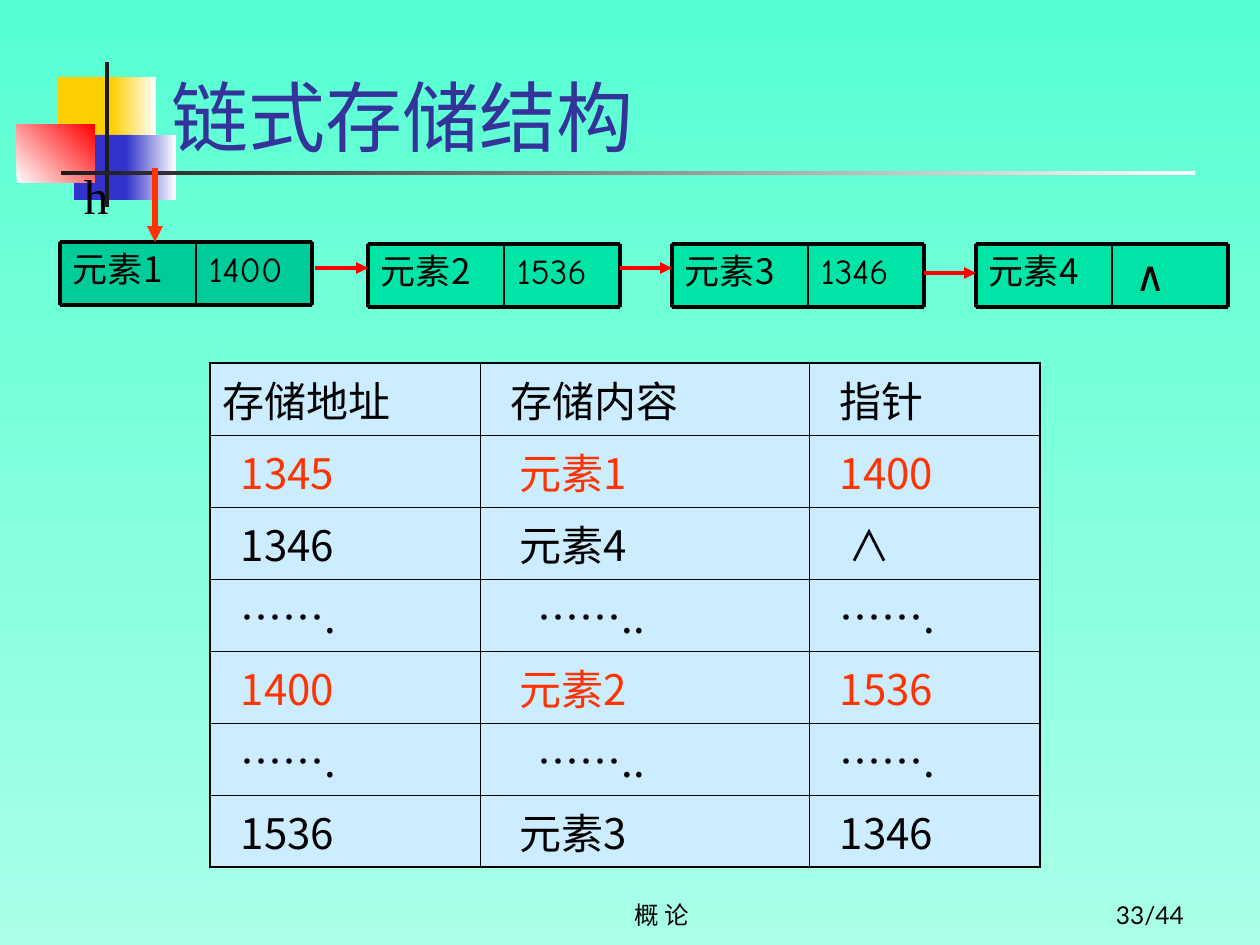
from lxml.etree import SubElement
from pptx import Presentation
from pptx.dml.color import RGBColor
from pptx.enum.shapes import MSO_CONNECTOR, MSO_SHAPE
from pptx.enum.text import MSO_ANCHOR, PP_ALIGN
from pptx.oxml import parse_xml
from pptx.oxml.ns import nsdecls, qn
from pptx.util import Emu, Pt

SCALE = 914400 / 126  # EMU in one px
COLORS = {
    "sky_top": "56FFD2", "sky_bottom": "AAFFE9",
    "yellow": "FFCF01", "blue": "3333CC", "red": "FF0000", "white": "FFFFFF",
    "bar": "1C1C1C", "title": "333399", "black": "000000",
    "head_node": "00CC99", "node": "00E4A8",
    "cell": "CCECFF", "highlight": "FF3300",
}
CJK, COMIC, LATO, TIMES = "Noto Sans CJK SC", "Comic Neue", "Lato", "Times New Roman"
INSET_X, INSET_Y = 13, 6

# Chain nodes after the head node
NODE_WIDTHS = (136, 116)
NODE_HEIGHT = 63
NODE_TOP, NODE_LEFT, NODE_STEP = 244, 368, 304
NODES = [("元素2", "1536"), ("元素3", "1346"), ("元素4", "∧")]

# Table rows of (text, indent step)
COLUMN_WIDTHS = (270, 329, 231)
ROW_HEIGHT, INDENT = 72, 9
HIGHLIGHT_ROWS = (1, 4)
DOTS = [("…….", 2), ("……..", 5), ("…….", 2)]
ROWS = [
    [("存储地址", 0), ("存储内容", 2), ("指针", 2)],
    [("1345", 2), ("元素1", 3), ("1400", 2)],
    [("1346", 2), ("元素4", 3), ("∧", 3)],
    DOTS,
    [("1400", 2), ("元素2", 3), ("1536", 2)],
    DOTS,
    [("1536", 2), ("元素3", 3), ("1346", 2)],
]


def px(value):
    return Emu(round(value * SCALE))


def rgb(name):
    return RGBColor.from_string(COLORS[name])


def fill_gradient(fill, start, end, angle):
    """Two-colour gradient; the angle runs clockwise."""
    fill.gradient()
    fill.gradient_angle = (360 - angle) % 360
    for stop, name in zip(fill.gradient_stops, (start, end)):
        stop.color.rgb = rgb(name)


def write(frame, text, size, font, color="black", align=PP_ALIGN.LEFT):
    paragraph = frame.paragraphs[0]
    paragraph.alignment = align
    run = paragraph.add_run()
    run.text = text
    run.font.size = Pt(size)
    run.font.name = font
    run.font.color.rgb = rgb(color)
    east_asian = SubElement(run.font._element, qn("a:ea"))
    east_asian.set("typeface", font if font == COMIC else CJK)
    return paragraph


def set_margins(holder, indent=0):
    holder.margin_left = px(INSET_X + indent)
    holder.margin_right = px(INSET_X)
    holder.margin_top = holder.margin_bottom = px(INSET_Y)


def add_text(shapes, box, text, size, font, color="black",
             align=PP_ALIGN.LEFT, anchor=MSO_ANCHOR.BOTTOM):
    frame = shapes.add_textbox(*map(px, box)).text_frame
    frame.word_wrap = True
    frame.vertical_anchor = anchor
    set_margins(frame)
    write(frame, text, size, font, color, align)


def add_rectangle(shapes, box, color, fade_to=None, angle=0):
    shape = shapes.add_shape(MSO_SHAPE.RECTANGLE, *map(px, box))
    shape.shadow.inherit = False
    shape.line.fill.background()
    if fade_to:
        fill_gradient(shape.fill, color, fade_to, angle)
    else:
        shape.fill.solid()
        shape.fill.fore_color.rgb = rgb(color)
    return shape


def add_line(shapes, start, end, width, color="black", arrow=False):
    line = shapes.add_connector(MSO_CONNECTOR.STRAIGHT, *map(px, start + end))
    line.line.width = Pt(width)
    line.line.color.rgb = rgb(color)
    if arrow:
        SubElement(line.line._get_or_add_ln(), qn("a:tailEnd")).set("type", "triangle")
    SubElement(line._element.spPr, qn("a:effectLst"))


def add_field(shapes, box, text, color, size, font, indent=0):
    shape = add_rectangle(shapes, box, color)
    shape.line.color.rgb = rgb("black")
    shape.line.width = Pt(0.75)
    frame = shape.text_frame
    frame.word_wrap = True
    frame.vertical_anchor = MSO_ANCHOR.TOP
    set_margins(frame, indent)
    write(frame, text, size, font)


def add_node(slide, left, top, data, pointer, color):
    """A node of a data field and a pointer field; returns its group."""
    group = slide.shapes.add_group_shape()
    shapes = group.shapes
    middle = left + NODE_WIDTHS[0]
    right = left + sum(NODE_WIDTHS)
    bottom = top + NODE_HEIGHT
    size, indent = (24, 10) if pointer == "∧" else (20, 0)
    add_field(shapes, (middle, top, NODE_WIDTHS[1], NODE_HEIGHT),
              pointer, color, size, COMIC, indent)
    add_field(shapes, (left, top, NODE_WIDTHS[0], NODE_HEIGHT), data, color, 20, CJK)
    for y in (top, bottom):
        add_line(shapes, (left, y), (right, y), 2.25)
    for x, width in ((left, 2.25), (middle, 1), (right, 2.25)):
        add_line(shapes, (x, top), (x, bottom), width)
    return group


def set_borders(cell, sides):
    properties = cell._tc.get_or_add_tcPr()
    for index, (side, outer) in enumerate(sides):
        width = Pt(1.08 if outer else 0.45)
        properties.insert(index, parse_xml(
            f'<a:ln{side} {nsdecls("a")} w="{width}"><a:solidFill>'
            f'<a:srgbClr val="{COLORS["black"]}"/></a:solidFill></a:ln{side}>'))


def add_memory_table(slide, left, top):
    row_count, column_count = len(ROWS), len(COLUMN_WIDTHS)
    table = slide.shapes.add_table(
        row_count, column_count, px(left), px(top),
        px(sum(COLUMN_WIDTHS)), px(ROW_HEIGHT * row_count)).table
    table.first_row = table.horz_banding = False
    for column, width in zip(table.columns, COLUMN_WIDTHS):
        column.width = px(width)
    for r, row in enumerate(ROWS):
        table.rows[r].height = px(ROW_HEIGHT)
        color = "highlight" if r in HIGHLIGHT_ROWS else "black"
        for c, (text, indent) in enumerate(row):
            cell = table.cell(r, c)
            cell.fill.solid()
            cell.fill.fore_color.rgb = rgb("cell")
            set_margins(cell, indent * INDENT)
            write(cell.text_frame, text, 24, CJK, color).space_before = Pt(6)
            set_borders(cell, (("L", c == 0), ("R", c == column_count - 1),
                               ("T", r == 0), ("B", r == row_count - 1)))


def add_decoration(shapes):
    add_rectangle(shapes, (58, 77, 60, 65), "yellow")
    add_rectangle(shapes, (111, 77, 45, 65), "yellow", "white")
    add_rectangle(shapes, (74, 135, 58, 65), "blue")
    add_rectangle(shapes, (126, 135, 50, 65), "blue", "white")
    add_rectangle(shapes, (17, 124, 78, 59), "white", "red", 315)
    add_rectangle(shapes, (105, 62, 4, 145), "bar")
    add_rectangle(shapes, (61, 171, 1134, 4), "bar", "white")


def main():
    presentation = Presentation()
    presentation.slide_width, presentation.slide_height = px(1260), px(945)
    slide = presentation.slides.add_slide(presentation.slide_layouts[6])
    shapes = slide.shapes
    fill_gradient(slide.background.fill, "sky_top", "sky_bottom", 90)
    add_decoration(shapes)

    # Footer
    add_text(shapes, (462, 872, 399, 63), "概 论", 14, LATO, align=PP_ALIGN.CENTER)
    add_text(shapes, (935, 872, 262, 63), "33/44", 14, LATO, align=PP_ALIGN.RIGHT)

    # Linked list and its memory layout
    for index, (data, pointer) in enumerate(NODES):
        add_node(slide, NODE_LEFT + index * NODE_STEP, NODE_TOP, data, pointer, "node")
    add_memory_table(slide, 210, 363)
    head = add_node(slide, 60, 242, "元素1", "1400", "head_node")
    add_text(head.shapes, (71, 160, 49, 72), "h", 28, TIMES, anchor=MSO_ANCHOR.TOP)
    add_line(head.shapes, (155, 168), (155, 242), 3, "highlight", arrow=True)

    # Links between nodes
    for start, end, y in ((315, 368, 268), (620, 672, 268), (924, 976, 273)):
        add_line(shapes, (start, y), (end, y), 2.25, "red", arrow=True)

    # Title
    add_text(shapes, (159, 10, 1074, 158), "链式存储结构", 44, TIMES, "title")
    presentation.save("out.pptx")


if __name__ == "__main__":
    main()
